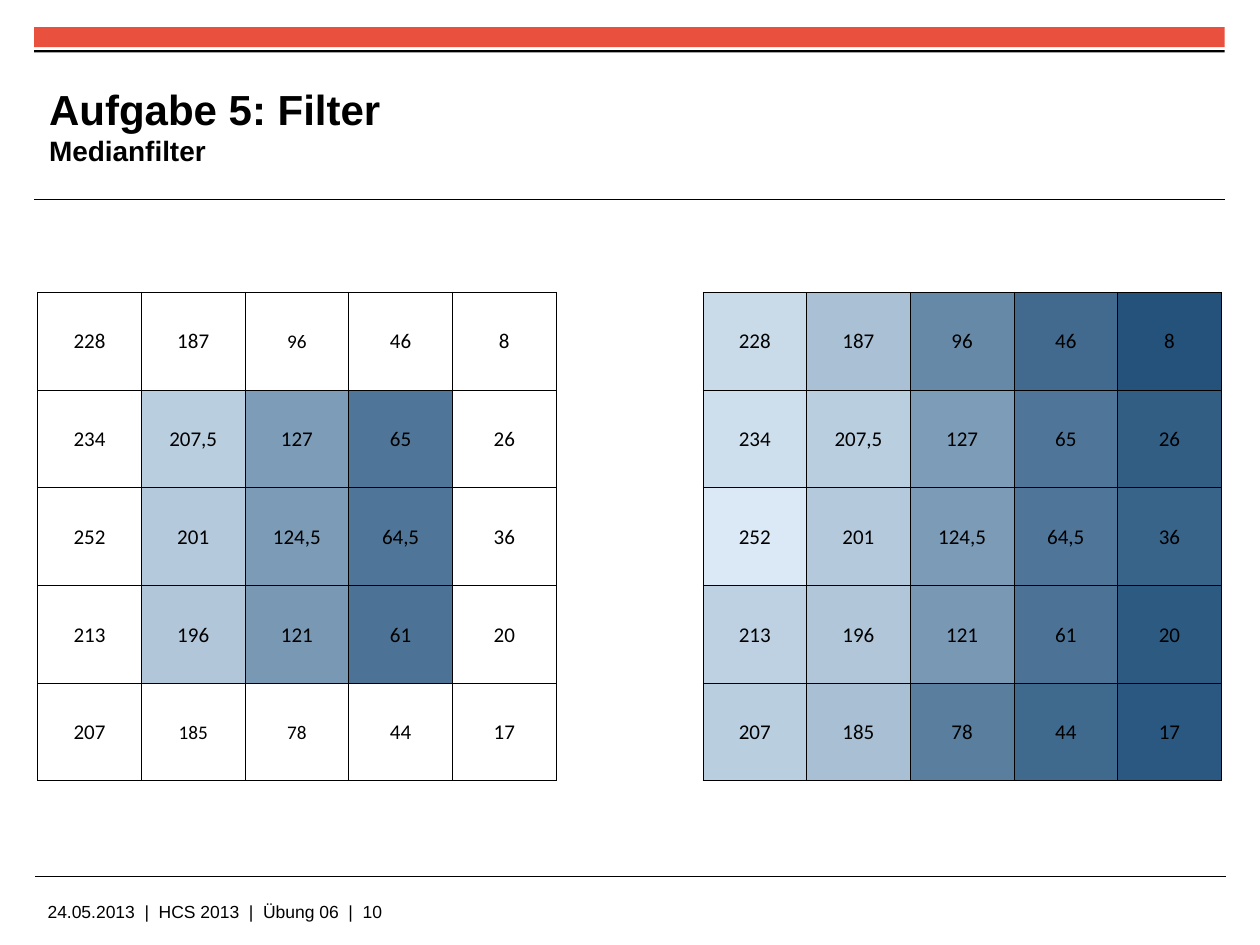
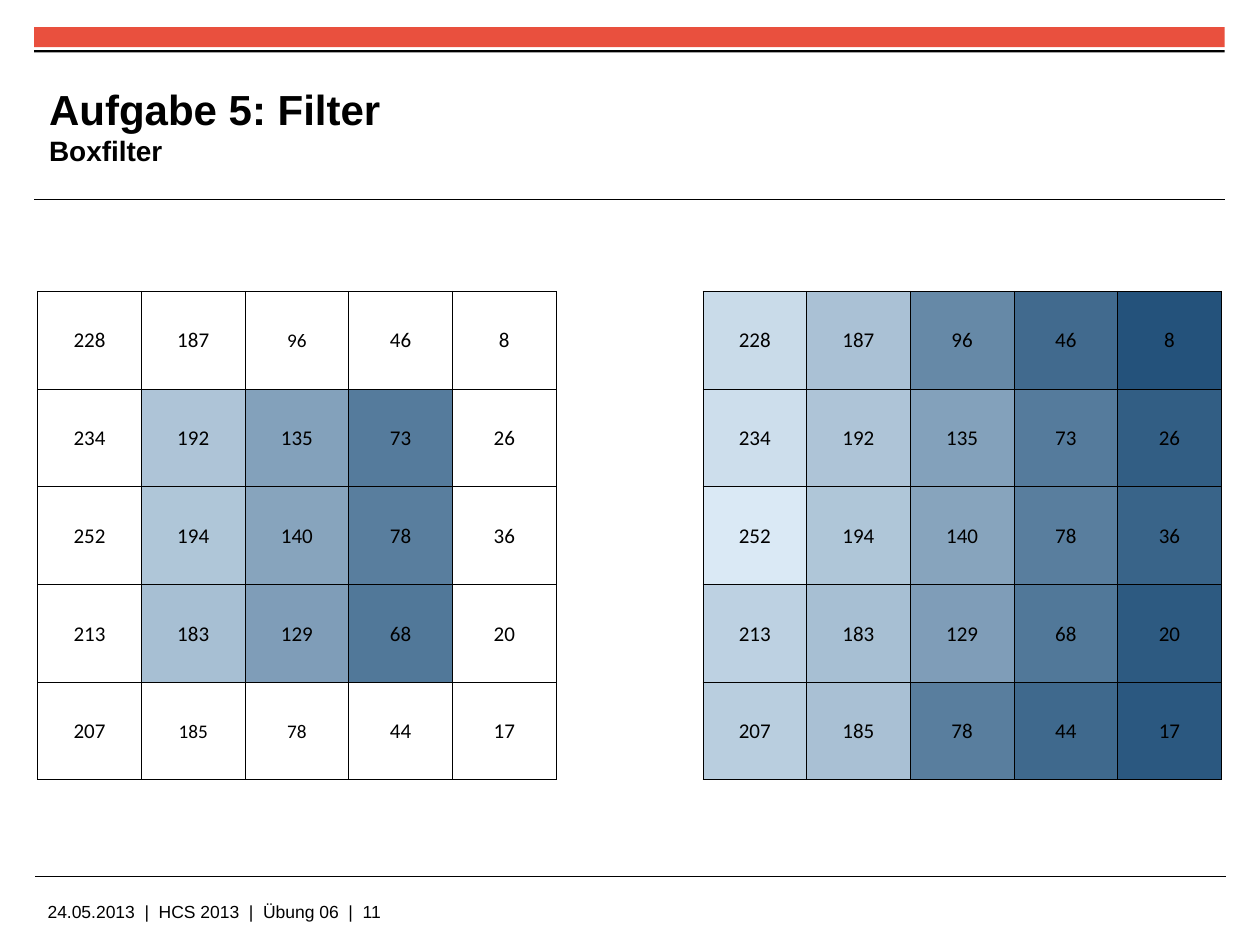
from math import ceil

from lxml.etree import SubElement
from pptx import Presentation
from pptx.dml.color import RGBColor
from pptx.enum.shapes import MSO_CONNECTOR as Connector, MSO_SHAPE as Shape
from pptx.enum.text import MSO_ANCHOR as Anchor, MSO_AUTO_SIZE as AutoSize, PP_ALIGN as Align
from pptx.oxml.ns import qn
from pptx.util import Cm, Pt

BLACK = RGBColor(0x00, 0x00, 0x00)
RED = RGBColor(0xE9, 0x50, 0x3E)
DARK_BLUE = RGBColor(0x24, 0x52, 0x7B)
LIGHT_BLUE = RGBColor(0xDA, 0xE9, 0xF5)

TITLE_ONLY = 5
MARGIN = Cm(0.69)
BAND_WIDTH = Cm(24)
COLUMN_WIDTH = Cm(2.09)
GAP_WIDTH = Cm(1.48)
ROW_HEIGHT = Cm(1.97)

GRID_SIZE = 5
GAP_COLUMNS = (GRID_SIZE, GRID_SIZE + 1)
DARKEST, BRIGHTEST = 8, 252
SMALL_CELLS = {(0, 2), (4, 1), (4, 2)}

SOURCE_PIXELS = [
    ["228", "187", "96", "46", "8"],
    ["234", "", "", "", "26"],
    ["252", "", "", "", "36"],
    ["213", "", "", "", "20"],
    ["207", "185", "78", "44", "17"],
]
FILTERS = [
    ("Medianfilter", 10, Cm(5.89), [
        ["207,5", "127", "65"],
        ["201", "124,5", "64,5"],
        ["196", "121", "61"],
    ]),
    ("Boxfilter", 11, Cm(5.87), [
        ["192", "135", "73"],
        ["194", "140", "78"],
        ["183", "129", "68"],
    ]),
]


def write_text(para, text, size=12, font="Arial", bold=False, color=BLACK):
    span = para.add_run()
    span.text = text
    span.font.size = Pt(size)
    span.font.name = font
    span.font.bold = bold
    span.font.color.rgb = color


def set_insets(target, left=0, top=0, right=0, bottom=0):
    target.margin_left, target.margin_top = Cm(left), Cm(top)
    target.margin_right, target.margin_bottom = Cm(right), Cm(bottom)


def add_bar(page, top, height, color):
    bar = page.shapes.add_shape(Shape.RECTANGLE, MARGIN, top, BAND_WIDTH, height)
    bar.shadow.inherit = False
    bar.fill.solid()
    bar.fill.fore_color.rgb = color
    bar.line.fill.background()


def add_rule(page, left, top):
    rule = page.shapes.add_connector(Connector.STRAIGHT, left, top, left + BAND_WIDTH, top)
    rule.line.color.rgb = BLACK
    rule.line.width = Pt(0.6)
    SubElement(rule.element.spPr, qn("a:effectLst"))


def add_footer(page, number):
    box = page.shapes.add_textbox(Cm(0.71), Cm(18.03), Cm(20), Cm(0.64))
    box.text_frame.word_wrap = True
    write_text(box.text_frame.paragraphs[0],
               f"24.05.2013\u00a0 |\u00a0 HCS 2013\u00a0 |\u00a0 Übung 06\u00a0 |\u00a0 {number}".replace("\u00a0", " "),
               size=10)


def set_title(page, heading, subheading):
    title = page.shapes.title
    title.left, title.top, title.width, title.height = Cm(0.99), Cm(1.35), Cm(18.44), Cm(2.34)
    frame = title.text_frame
    frame.auto_size = AutoSize.NONE
    frame.word_wrap = True
    frame.vertical_anchor = Anchor.MIDDLE
    set_insets(frame)
    para = frame.paragraphs[0]
    para.alignment = Align.LEFT
    write_text(para, heading, size=24, bold=True)
    para.add_line_break()
    write_text(para, subheading, size=16, bold=True)


def shade(value):
    share = (float(value.replace(",", ".")) - DARKEST) / (BRIGHTEST - DARKEST)
    return RGBColor(*(ceil(dark + (light - dark) * share)
                      for dark, light in zip(DARK_BLUE, LIGHT_BLUE)))


def set_borders(cell, visible_sides):
    properties = cell._tc.get_or_add_tcPr()
    for side in "LRTB":
        border = SubElement(properties, qn(f"a:ln{side}"), w=str(Pt(0.5)))
        if side in visible_sides:
            fill = SubElement(border, qn("a:solidFill"))
            SubElement(fill, qn("a:srgbClr"), val=str(BLACK))
        else:
            SubElement(border, qn("a:noFill"))


def fill_pixel(cell, value, size, shaded):
    set_borders(cell, "LRTB")
    set_insets(cell, left=0.03, top=0.03, right=0.03)
    cell.vertical_anchor = Anchor.MIDDLE
    para = cell.text_frame.paragraphs[0]
    para.alignment = Align.CENTER
    write_text(para, value, size=size, font="Calibri")
    if shaded:
        cell.fill.solid()
        cell.fill.fore_color.rgb = shade(value)
    else:
        cell.fill.background()


def merge_pixels(filtered):
    pixels = [list(row) for row in SOURCE_PIXELS]
    for row, values in zip(pixels[1:-1], filtered):
        row[1:-1] = values
    return pixels


def add_pixel_table(page, top, filtered):
    column_count = 2 * GRID_SIZE + len(GAP_COLUMNS)
    widths = [GAP_WIDTH if index in GAP_COLUMNS else COLUMN_WIDTH
              for index in range(column_count)]
    table = page.shapes.add_table(GRID_SIZE, column_count, Cm(0.76), top,
                                  sum(widths), GRID_SIZE * ROW_HEIGHT).table
    table.first_row = table.horz_banding = False
    for column, width in zip(table.columns, widths):
        column.width = width
    for row in table.rows:
        row.height = ROW_HEIGHT

    right_start = GAP_COLUMNS[-1] + 1
    for row, values in enumerate(merge_pixels(filtered)):
        for column, value in enumerate(values):
            inner = 0 < row < GRID_SIZE - 1 and 0 < column < GRID_SIZE - 1
            left_size = 11 if (row, column) in SMALL_CELLS else 12
            fill_pixel(table.cell(row, column), value, left_size, shaded=inner)
            fill_pixel(table.cell(row, right_start + column), value, 12, shaded=True)
        for column, side in zip(GAP_COLUMNS, "LR"):
            gap = table.cell(row, column)
            set_borders(gap, side)
            gap.fill.background()


def add_frame(page, number):
    add_bar(page, Cm(0.55), Cm(0.4), RED)
    add_bar(page, Cm(1.01), Cm(0.05), BLACK)
    add_rule(page, MARGIN, Cm(4.03))
    add_rule(page, Cm(0.71), Cm(17.66))
    add_footer(page, number)


def main():
    deck = Presentation()
    deck.slide_width, deck.slide_height = Cm(25.4), Cm(19.05)
    for name, number, table_top, filtered in FILTERS:
        page = deck.slides.add_slide(deck.slide_layouts[TITLE_ONLY])
        add_frame(page, number)
        set_title(page, "Aufgabe 5: Filter", name)
        add_pixel_table(page, table_top, filtered)
    deck.save("out.pptx")


if __name__ == "__main__":
    main()
